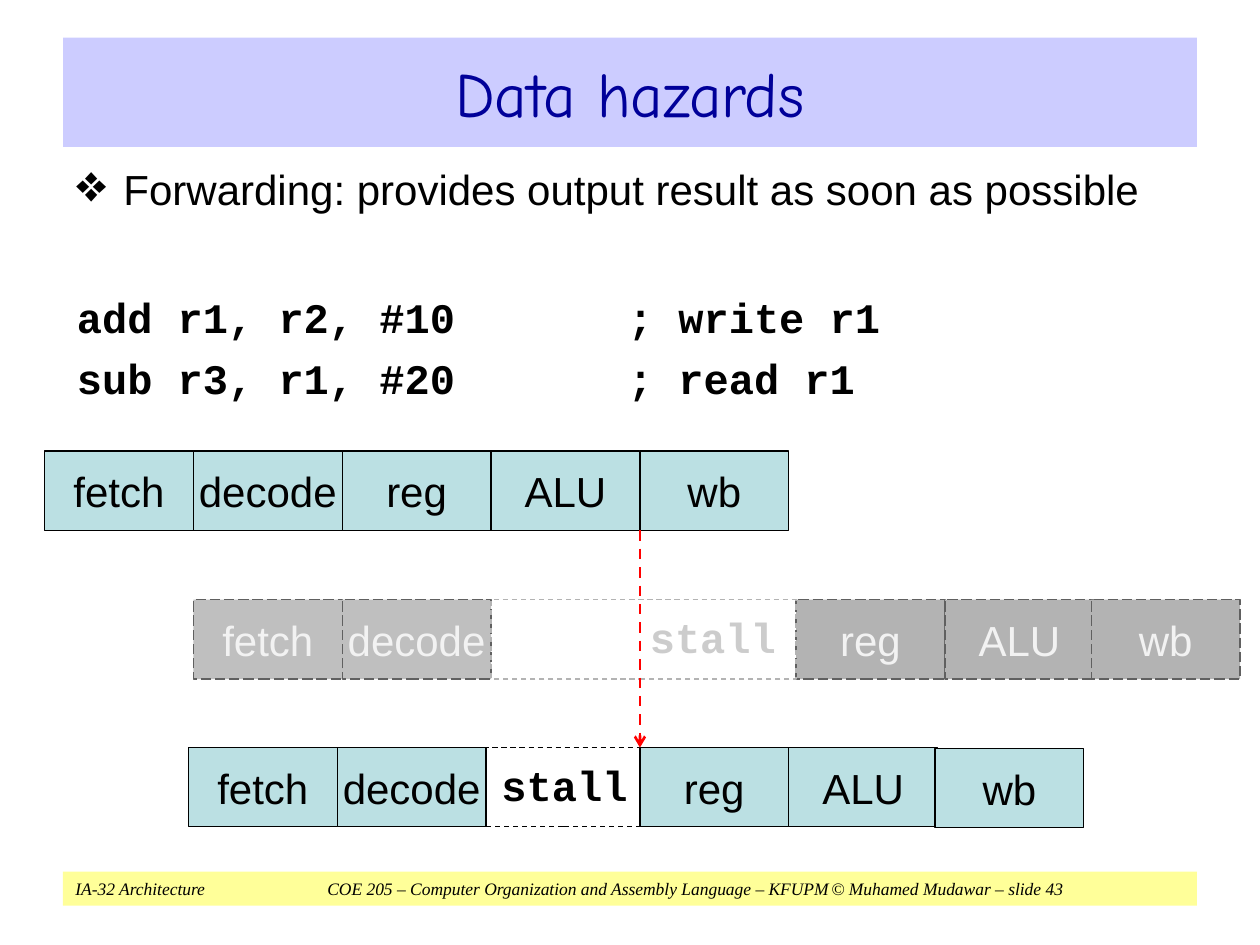
from dataclasses import dataclass

import pptx
import pptx.dml.color
import pptx.enum.dml
import pptx.enum.shapes
import pptx.enum.text
import pptx.oxml
import pptx.oxml.ns
import pptx.util
from lxml import etree
from pptx.util import Cm, Pt

DASH = pptx.enum.dml.MSO_LINE
ALIGN = pptx.enum.text.PP_ALIGN
ANCHOR = pptx.enum.text.MSO_ANCHOR
RECTANGLE = pptx.enum.shapes.MSO_SHAPE.RECTANGLE


@dataclass(frozen=True)
class Theme:
    ink: str = "000000"
    title_ink: str = "000099"
    title_fill: str = "CCCCFF"
    footer_fill: str = "FFFF99"
    arrow: str = "FF0000"
    faded_ink: str = "CCCCCC"
    faded_label: str = "F2F2F2"
    faded_line: str = "B3B3B3"
    title_size: int = 36
    text_size: int = 24
    footer_size: int = 10
    sans: str = "Arial"
    code: str = "Courier New"
    title_font: str = "Comic Neue"
    serif: str = "Times New Roman"


@dataclass(frozen=True)
class StageStyle:
    fill: str
    line: str
    ink: str
    dash: DASH = DASH.SOLID


THEME = Theme()
ACTIVE = StageStyle("BBE0E3", "000000", THEME.ink)
FADED_EARLY = StageStyle("BFBFBF", "606060", THEME.faded_label, DASH.LONG_DASH)
FADED_LATE = StageStyle("B3B3B3", "606060", THEME.faded_label, DASH.LONG_DASH)

STAGE_WIDTH, STAGE_HEIGHT = 3.0, 1.6
FIRST_TOP, FADED_TOP, FORWARDED_TOP = 9.09, 12.09, 15.07
WRITE_BACK_LEFT = 12.9


def rgb(value):
    return pptx.dml.color.RGBColor.from_string(value)


def format_font(paragraph, name, size, color, bold=None, italic=None):
    font = paragraph.font
    font.name, font.size, font.bold, font.italic = name, Pt(size), bold, italic
    font.color.rgb = rgb(color)


def add_element(parent, tag, **attributes):
    element = etree.SubElement(parent, pptx.oxml.ns.qn(tag))
    for key, value in attributes.items():
        element.set(key, str(value))
    return element


def set_hanging(paragraph, indent):
    properties = paragraph._p.get_or_add_pPr()
    properties.set("marL", str(Cm(indent)))
    properties.set("indent", str(-Cm(indent)))


def set_tabs(paragraph, positions):
    """Set left tab stops, with further stops at every 2.54 cm."""
    properties = paragraph._p.get_or_add_pPr()
    properties.set("defTabSz", str(Cm(2.54)))
    tabs = add_element(properties, "a:tabLst")
    for position in positions:
        add_element(tabs, "a:tab", pos=Cm(position), algn="l")


def add_text(page, left, top, width, height, lines, wrap=True):
    """Add a text box and return its paragraphs for formatting."""
    box = page.shapes.add_textbox(Cm(left), Cm(top), Cm(width), Cm(height))
    box.text_frame.word_wrap = wrap
    box.text_frame.text = "\n".join(lines)
    return box.text_frame.paragraphs


def add_rectangle(page, left, top, width, height, fill=None, line=None, dash=DASH.SOLID):
    box = page.shapes.add_shape(RECTANGLE, Cm(left), Cm(top), Cm(width), Cm(height))
    box.shadow.inherit = False
    if fill:
        box.fill.solid()
        box.fill.fore_color.rgb = rgb(fill)
    else:
        box.fill.background()
    if line:
        box.line.color.rgb = rgb(line)
        box.line.width = Pt(0.75)
        box.line.dash_style = dash
    else:
        box.line.fill.background()
    return box


def add_stages(page, left, top, labels, style):
    """Add adjoining pipeline stages, starting at left."""
    for index, label in enumerate(labels):
        box = add_rectangle(page, left + index * STAGE_WIDTH, top, STAGE_WIDTH,
                            STAGE_HEIGHT, style.fill, style.line, style.dash)
        frame = box.text_frame
        frame.word_wrap = False
        frame.vertical_anchor = ANCHOR.MIDDLE
        paragraph = frame.paragraphs[0]
        paragraph.text = label
        paragraph.alignment = ALIGN.CENTER
        format_font(paragraph, THEME.sans, THEME.text_size, style.ink)


def add_stall(page, left, top, width, text_left, line, ink):
    add_rectangle(page, left, top, width, STAGE_HEIGHT, line=line, dash=DASH.DASH)
    label, = add_text(page, text_left, top + 0.12, 3.05, 1.27, ["stall"], wrap=False)
    format_font(label, THEME.code, THEME.text_size, ink, bold=True)


def add_arrow(page, x, top, bottom):
    arrow = page.shapes.add_connector(pptx.enum.shapes.MSO_CONNECTOR.STRAIGHT,
                                      Cm(x), Cm(top), Cm(x), Cm(bottom))
    arrow.line.color.rgb = rgb(THEME.arrow)
    arrow.line.width = Pt(1.5)
    arrow.line.dash_style = DASH.DASH
    add_element(arrow.line._get_or_add_ln(), "a:tailEnd", type="arrow")
    add_element(arrow._element.spPr, "a:effectLst")


def add_footer(page):
    footer = add_rectangle(page, 1.27, 17.57, 22.86, 0.69, THEME.footer_fill)
    footer.text_frame.vertical_anchor = ANCHOR.MIDDLE
    paragraph = footer.text_frame.paragraphs[0]
    paragraph.text = ("IA-32 Architecture\tCOE 205 – Computer Organization and Assembly "
                      "Language – KFUPM\t© Muhamed Mudawar – slide 43")
    paragraph.alignment = ALIGN.LEFT
    set_tabs(paragraph, [5.08, 15.24])
    format_font(paragraph, THEME.serif, THEME.footer_size, THEME.ink, italic=True)


def set_title(page, text):
    title = page.shapes.title
    title.left, title.top, title.width, title.height = Cm(1.27), Cm(0.76), Cm(22.86), Cm(2.2)
    title.fill.solid()
    title.fill.fore_color.rgb = rgb(THEME.title_fill)
    title.text_frame.text = text
    title.text_frame.vertical_anchor = ANCHOR.MIDDLE
    paragraph = title.text_frame.paragraphs[0]
    paragraph.alignment = ALIGN.CENTER
    format_font(paragraph, THEME.title_font, THEME.title_size, THEME.title_ink)


def add_bullet(page, text):
    paragraph, = add_text(page, 1.29, 3.18, 22.84, 1.3, [text])
    set_hanging(paragraph, 0.95)
    properties = paragraph._p.get_or_add_pPr()
    add_element(add_element(properties, "a:buClr"), "a:srgbClr", val=THEME.ink)
    add_element(properties, "a:buSzPct", val=125000)
    add_element(properties, "a:buChar", char="❖")
    format_font(paragraph, THEME.sans, THEME.text_size, THEME.ink)


def add_code(page, lines):
    paragraphs = add_text(page, 1.3, 5.75, 22.86, 3.2, lines)
    for index, paragraph in enumerate(paragraphs):
        set_hanging(paragraph, 0.95)
        if index:
            paragraph.space_before = Pt(6)
        set_tabs(paragraph, [7.62, 10.16])
        format_font(paragraph, THEME.code, THEME.text_size, THEME.ink, bold=True)


def main():
    deck = pptx.Presentation()
    deck.slide_width, deck.slide_height = Cm(25.4), Cm(19.05)
    page = deck.slides.add_slide(deck.slide_layouts.get_by_name("Title Only"))
    add_footer(page)
    set_title(page, "Data hazards")
    add_bullet(page, "Forwarding: provides output result as soon as possible")
    add_code(page, ["add r1, r2, #10\t\t; write r1", "sub r3, r1, #20\t\t; read r1"])

    front, middle, last = ["fetch", "decode"], ["reg", "ALU"], ["wb"]
    add_stages(page, 0.9, FIRST_TOP, front + middle + last, ACTIVE)
    add_stages(page, 3.9, FADED_TOP, front, FADED_EARLY)
    add_stages(page, 16.05, FADED_TOP, middle, FADED_LATE)
    add_stages(page, 22.0, FADED_TOP, last, FADED_LATE)
    add_stall(page, 9.9, FADED_TOP, 6.15, 12.85, THEME.faded_line, THEME.faded_ink)
    add_stages(page, 3.8, FORWARDED_TOP, front, ACTIVE)
    add_stages(page, WRITE_BACK_LEFT, FORWARDED_TOP, middle, ACTIVE)
    add_stages(page, 18.85, FORWARDED_TOP + 0.02, last, ACTIVE)
    add_stall(page, 9.8, FORWARDED_TOP, 3.1, 9.86, THEME.ink, THEME.ink)
    add_arrow(page, WRITE_BACK_LEFT, FIRST_TOP + STAGE_HEIGHT, FORWARDED_TOP)
    deck.save("out.pptx")


if __name__ == "__main__":
    main()
